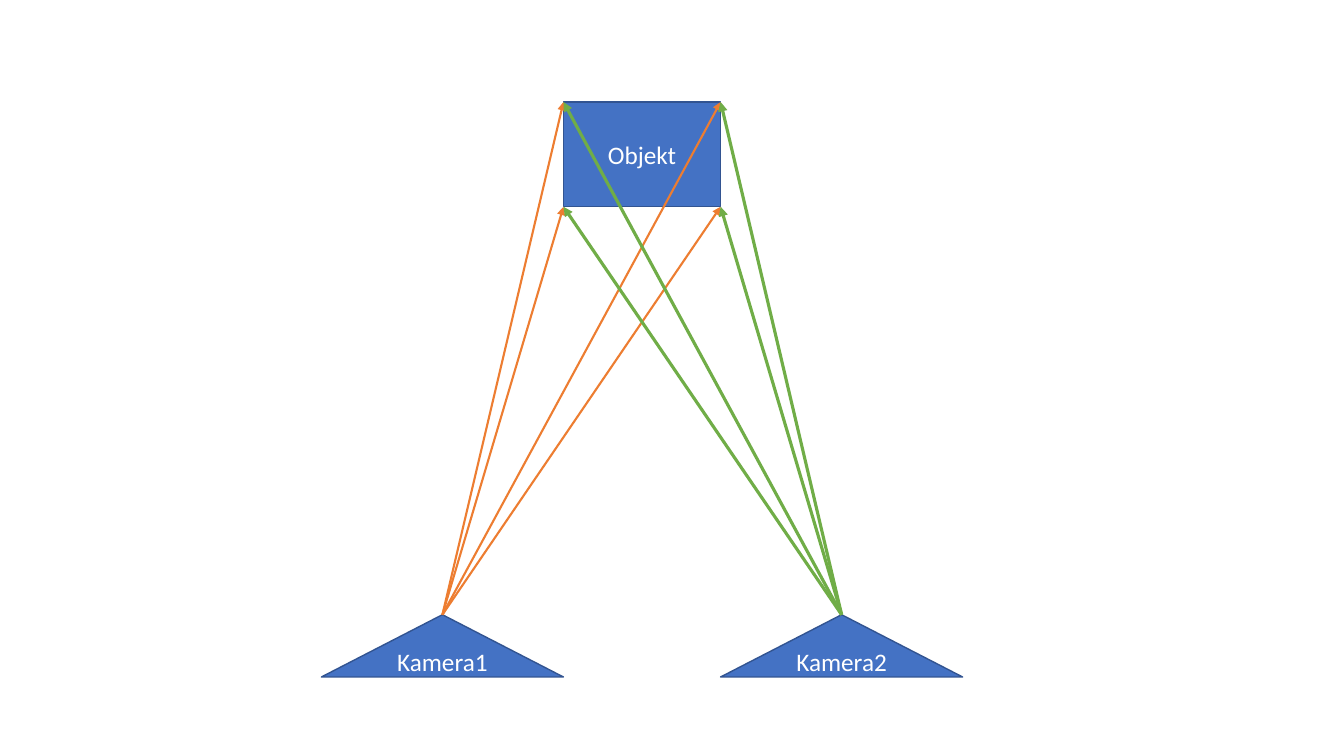
"""Build a slide of two cameras sighting the corners of one object."""
from pptx import Presentation
from pptx.dml.color import RGBColor
from pptx.enum.shapes import MSO_CONNECTOR, MSO_SHAPE
from pptx.enum.text import MSO_ANCHOR, PP_ALIGN
from pptx.oxml.ns import qn
from pptx.util import Cm, Pt
from lxml.etree import SubElement

BLUE = RGBColor(0x44, 0x72, 0xC4)
DARK_BLUE = RGBColor(0x32, 0x54, 0x91)
ORANGE = RGBColor(0xED, 0x7D, 0x31)
GREEN = RGBColor(0x70, 0xAD, 0x47)
WHITE = RGBColor(0xFF, 0xFF, 0xFF)

OBJ_LEFT, OBJ_TOP, OBJ_W, OBJ_H = 14.2, 2.57, 3.96, 2.64
OBJ_RIGHT, OBJ_BOTTOM = OBJ_LEFT + OBJ_W, OBJ_TOP + OBJ_H
CAM_TOP, CAM_W, CAM_H = 15.49, 6.1, 1.57

prs = Presentation()
prs.slide_width, prs.slide_height = Cm(33.87), Cm(19.05)
s = prs.slides.add_slide(prs.slide_layouts[6])


def add_box(kind, text, left, top, width, height):
    sp = s.shapes.add_shape(kind, Cm(left), Cm(top), Cm(width), Cm(height))
    sp.shadow.inherit = False
    sp.fill.solid()
    sp.fill.fore_color.rgb = BLUE
    sp.line.color.rgb = DARK_BLUE
    sp.line.width = Pt(1)
    tf = sp.text_frame
    tf.vertical_anchor = MSO_ANCHOR.MIDDLE
    p = tf.paragraphs[0]
    p.text = text
    p.alignment = PP_ALIGN.CENTER
    p.font.name = "Calibri"
    p.font.size = Pt(18)
    p.font.color.rgb = WHITE


def add_ray(x1, y1, x2, y2, color, width):
    ray = s.shapes.add_connector(MSO_CONNECTOR.STRAIGHT, Cm(x1), Cm(y1), Cm(x2), Cm(y2))
    ray.line.color.rgb = color
    ray.line.width = Pt(width)
    SubElement(ray.line._get_or_add_ln(), qn("a:tailEnd"), type="triangle")
    SubElement(ray._element.spPr, qn("a:effectLst"))


cameras = [
    ("Kamera1", OBJ_LEFT - CAM_W, ORANGE, 1.5, (OBJ_LEFT, OBJ_RIGHT)),
    ("Kamera2", OBJ_RIGHT, GREEN, 2.25, (OBJ_RIGHT, OBJ_LEFT)),
]

add_box(MSO_SHAPE.RECTANGLE, "Objekt", OBJ_LEFT, OBJ_TOP, OBJ_W, OBJ_H)
for name, left, *_ in cameras:
    add_box(MSO_SHAPE.ISOSCELES_TRIANGLE, name, left, CAM_TOP, CAM_W, CAM_H)

for _, left, color, width, sides in cameras:
    for x in sides:
        for y in (OBJ_BOTTOM, OBJ_TOP):
            add_ray(left + CAM_W / 2, CAM_TOP, x, y, color, width)

prs.save("out.pptx")
